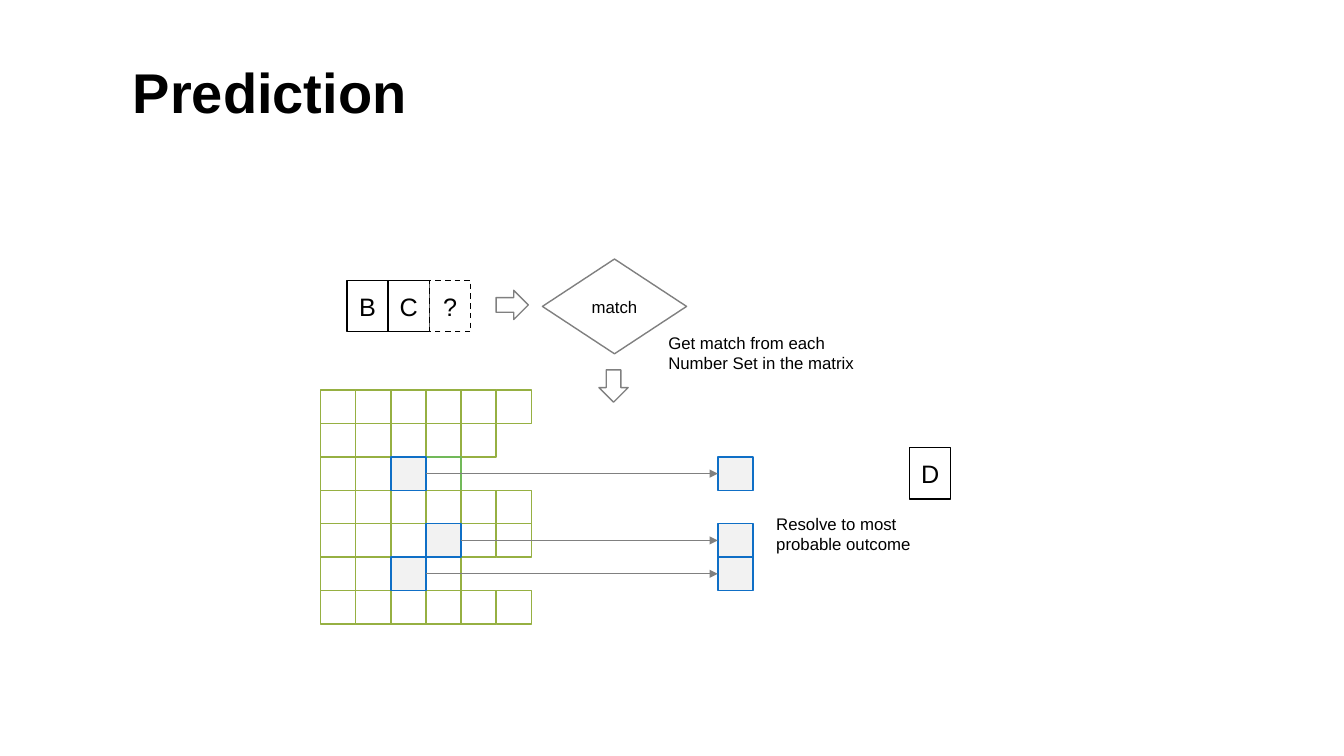
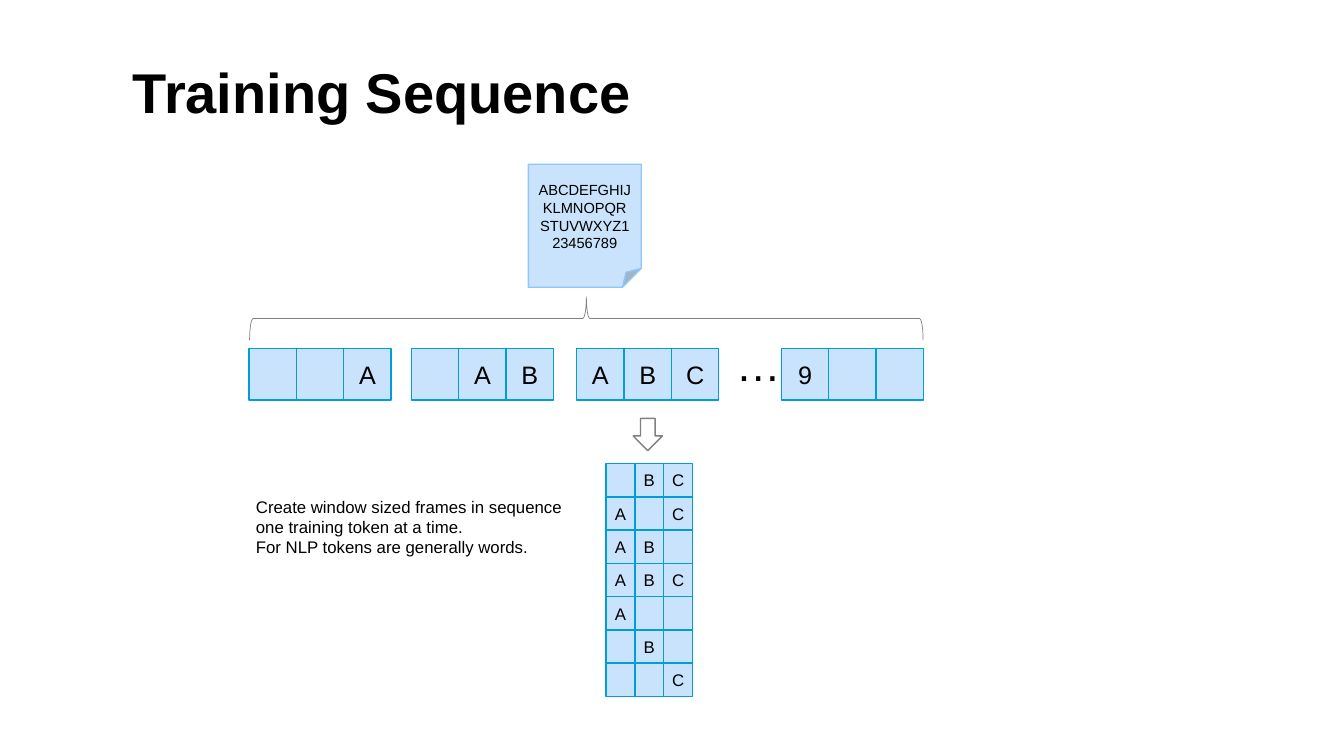
import pptx
import pptx.dml.color
import pptx.enum.dml
import pptx.enum.shapes
import pptx.enum.text
import pptx.oxml.ns
import pptx.util
from lxml import etree

SHAPE = pptx.enum.shapes.MSO_SHAPE
ALIGN = pptx.enum.text.PP_ALIGN
ANCHOR = pptx.enum.text.MSO_ANCHOR
DASH = pptx.enum.dml.MSO_LINE.DASH
FONT = "Arial"
BLACK, WHITE, GREY = "000000", "FFFFFF", "808080"

# Cell looks: fill and outline
PLAIN = {"fill": WHITE, "outline": BLACK}
OPEN = {"fill": WHITE, "outline": GREY}
TOKEN = {"fill": "C8E3FB", "outline": "009DD9"}
NOTE = {"fill": "C8E3FB", "outline": "91C6F7"}
MATCH = {"fill": "F2F2F2", "outline": "0F6FC6"}
MATRIX_LOOKS = {
    "n": {"fill": WHITE, "outline": "96B042"},
    "e": {"fill": WHITE, "outline": "71B959"},
    "m": MATCH,
}

# Prediction: n = number, e = end of the matched set, m = match
MATRIX = ["nnnnnn", "nnnnn", "nnme", "nnnnnn", "nnnmnn", "nnmn", "nnnnnn"]
MATRIX_AREA = (3.18, 3.87, 2.09, 2.32)
RESULT_LEFT = 7.12
QUERY = [("B", None), ("C", None), ("?", DASH)]
QUERY_LEFT, QUERY_TOP = 3.44, 2.78
QUERY_CELL = (0.41, 0.51)

# Training sequence: a space is an empty cell
FRAMES = [(2.47, "  A"), (4.08, " AB"), (5.72, "ABC"), (7.75, "9  ")]
FRAME_TOP = 3.46
FRAME_CELL = (0.47, 0.51)
MASKS = [" BC", "A C", "AB ", "ABC", "A  ", " B ", "  C"]
MASK_AREA = (6.01, 4.6, 0.86, 2.31)


def color(value):
    return pptx.dml.color.RGBColor.from_string(value)


def inches(values):
    return [pptx.util.Inches(value) for value in values]


def write(box, lines, size, align=ALIGN.LEFT, anchor=ANCHOR.TOP, margin=None, bold=False, spacing=None):
    frame = box.text_frame
    frame.word_wrap = True
    frame.vertical_anchor = anchor
    if margin is not None:
        for side in ("left", "top", "right", "bottom"):
            setattr(frame, f"margin_{side}", pptx.util.Inches(margin))
    for index, line in enumerate(lines):
        para = frame.add_paragraph() if index else frame.paragraphs[0]
        para.alignment = align
        para.line_spacing = spacing
        span = para.add_run()
        span.text = line
        for name, value in {"name": FONT, "size": pptx.util.Pt(size), "bold": bold}.items():
            setattr(span.font, name, value)
        span.font.color.rgb = color(BLACK)


def add_text(page, area, lines, size=12, **layout):
    write(page.shapes.add_textbox(*inches(area)), lines, size, **layout)


def add_shape(page, kind, area, look, text="", size=12, margin=0, dash=None, weight=1):
    shape = page.shapes.add_shape(kind, *inches(area))
    shape.shadow.inherit = False
    if look["fill"]:
        shape.fill.solid()
        shape.fill.fore_color.rgb = color(look["fill"])
    else:
        shape.fill.background()
    shape.line.color.rgb = color(look["outline"])
    shape.line.width = pptx.util.Pt(weight)
    if dash:
        shape.line.dash_style = dash
    if text.strip():
        write(shape, [text], size, ALIGN.CENTER, ANCHOR.MIDDLE, margin)
    return shape


def add_arrow(page, start, end):
    arrow = page.shapes.add_connector(pptx.enum.shapes.MSO_CONNECTOR.STRAIGHT, *inches(start + end))
    arrow.line.color.rgb = color(GREY)
    arrow.line.width = pptx.util.Pt(0.5)
    qn = pptx.oxml.ns.qn
    etree.SubElement(arrow.line._get_or_add_ln(), qn("a:tailEnd"), type="triangle")
    etree.SubElement(arrow._element.spPr, qn("a:effectLst"))


def grid_cells(area, rows):
    """Yield the area and letter of each cell, row by row."""
    left, top, width, height = area
    wide, high = width / max(map(len, rows)), height / len(rows)
    for row, letters in enumerate(rows):
        for column, letter in enumerate(letters):
            yield (left + column * wide, top + row * high, wide, high), letter


def add_page(deck, title):
    page = deck.slides.add_slide(deck.slide_layouts[6])
    add_text(page, (1.22, 0.6, 11.12, 1.29), [title], 40, bold=True, spacing=0.9)
    return page


def build_prediction(deck):
    page = add_page(deck, "Prediction")
    cells = list(grid_cells(MATRIX_AREA, MATRIX))
    for area, kind in sorted(cells, key=lambda cell: cell[1] == "m"):
        add_shape(page, SHAPE.RECTANGLE, area, MATRIX_LOOKS[kind])
    for (left, top, wide, high), kind in cells:
        if kind == "m":
            add_shape(page, SHAPE.RECTANGLE, (RESULT_LEFT, top, wide, high), MATCH)
            middle = top + high / 2
            add_arrow(page, (left + wide, middle), (RESULT_LEFT, middle))

    for index, (letter, dash) in enumerate(QUERY):
        area = (QUERY_LEFT + index * QUERY_CELL[0], QUERY_TOP, *QUERY_CELL)
        add_shape(page, SHAPE.RECTANGLE, area, PLAIN, letter, 18, dash=dash)
    add_shape(page, SHAPE.RECTANGLE, (9.02, 4.44, *QUERY_CELL), PLAIN, "D", 18)

    add_shape(page, SHAPE.RIGHT_ARROW, (4.92, 2.88, 0.32, 0.29), OPEN)
    add_shape(page, SHAPE.FLOWCHART_DECISION, (5.38, 2.57, 1.43, 0.94), OPEN, "match")
    add_shape(page, SHAPE.DOWN_ARROW, (5.94, 3.67, 0.29, 0.32), OPEN)
    add_text(page, (6.53, 3.25, 2.15, 0.5), ["Get match from each", "Number Set in the matrix"])
    add_text(page, (7.6, 5.05, 1.62, 0.71), ["Resolve to most", "probable outcome"])


def build_training(deck):
    page = add_page(deck, "Training Sequence")
    add_shape(page, SHAPE.FOLDED_CORNER, (5.24, 1.63, 1.12, 1.22), NOTE,
              "ABCDEFGHIJKLMNOPQRSTUVWXYZ123456789", 10.5, margin=0.1)
    brace = add_shape(page, SHAPE.LEFT_BRACE, (5.6, -0.18, 0.43, 6.68),
                      {"fill": None, "outline": GREY}, weight=0.5)
    brace.rotation = 90

    wide, high = FRAME_CELL
    for left, letters in FRAMES:
        area = (left, FRAME_TOP, wide * len(letters), high)
        for cell, letter in grid_cells(area, [letters]):
            add_shape(page, SHAPE.RECTANGLE, cell, TOKEN, letter, 18)
    add_text(page, (7.2, 3.29, 0.66, 0.64), ["…"], 32, anchor=ANCHOR.MIDDLE)

    add_shape(page, SHAPE.DOWN_ARROW, (6.28, 4.15, 0.29, 0.32), OPEN)
    for cell, letter in grid_cells(MASK_AREA, MASKS):
        add_shape(page, SHAPE.RECTANGLE, cell, TOKEN, letter)
    add_text(page, (2.44, 4.88, 3.27, 0.71), [
        "Create window sized frames in sequence one training token at a time.",
        "For NLP tokens are generally words.",
    ])


def main():
    deck = pptx.Presentation()
    deck.slide_width, deck.slide_height = inches((13.33, 7.5))
    build_prediction(deck)
    build_training(deck)
    deck.save("out.pptx")


if __name__ == "__main__":
    main()
